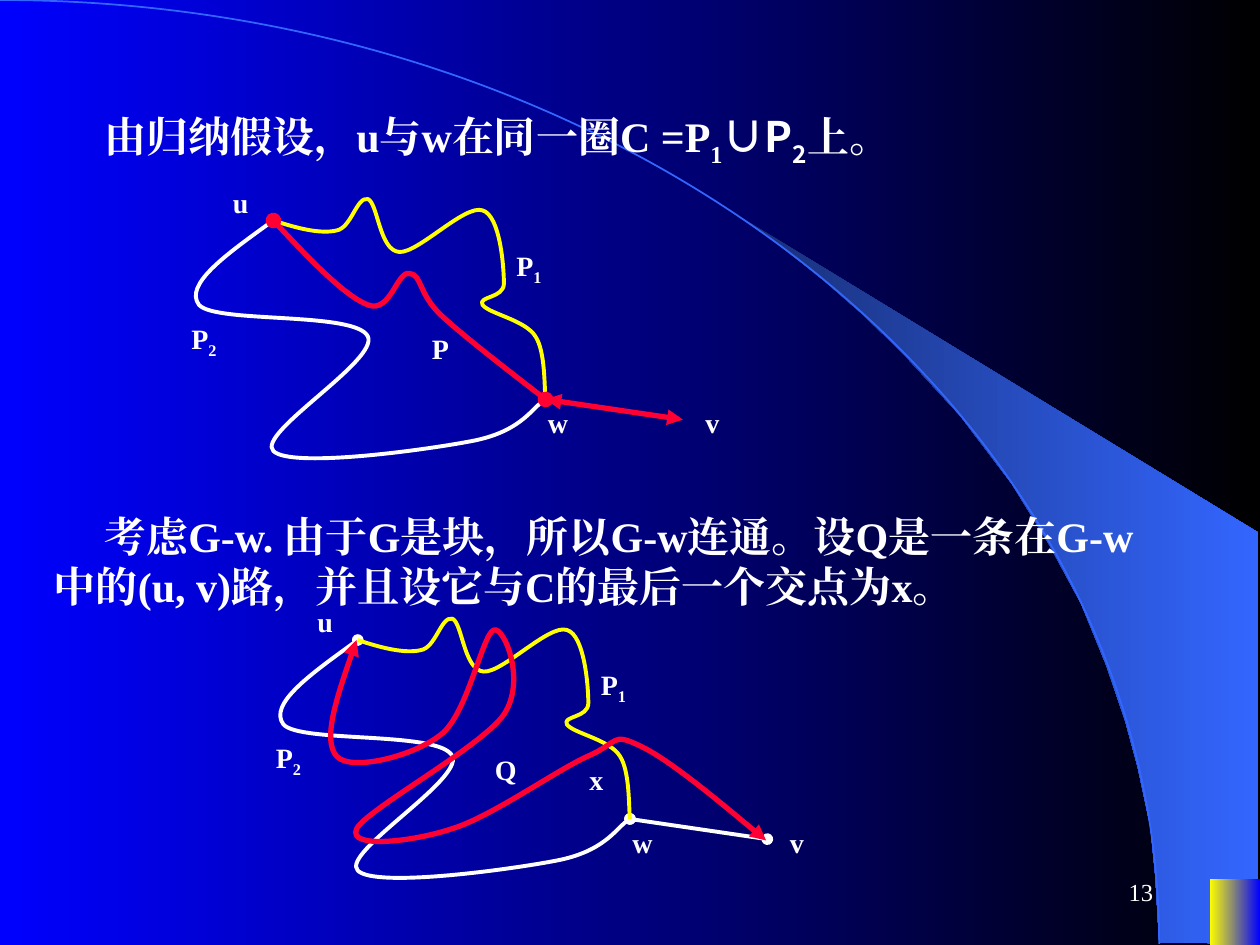
"""Builds the graph-theory proof slide with two cycle diagrams."""
from lxml.etree import SubElement
from pptx import Presentation
from pptx.dml.color import RGBColor
from pptx.enum.shapes import MSO_CONNECTOR, MSO_SHAPE
from pptx.enum.text import MSO_ANCHOR, PP_ALIGN
from pptx.oxml.ns import qn
from pptx.util import Inches, Pt

COLORS = {"white": "FFFFFF", "yellow": "FFFF00", "red": "FF0033", "blue": "0000FF",
          "black": "000000", "navy": "182F76", "sky": "3366FF"}
LATIN, CHINESE = "Times New Roman", "Noto Sans CJK SC"

WEDGE = [(9.2, 7.48), (9.99, 7.49), (9.99, 4.23), (5.89, 1.73), (6.24, 1.99), (6.53, 2.22),
         (6.85, 2.5), (7.16, 2.8), (7.62, 3.3), (8.03, 3.84), (8.32, 4.31), (8.58, 4.79),
         (8.78, 5.28), (8.93, 5.72), (9.03, 6.09), (9.13, 6.56), (9.17, 6.96), (9.2, 7.48)]
ARC = [(0, 0), (5.08, 0), (9.2, 3.35), (9.2, 7.49)]

PATH_ONE = [(2.17, 1.75), (2.35, 1.81), (2.54, 1.86), (2.67, 1.83), (2.79, 1.81), (2.83, 1.56),
            (2.92, 1.58), (3, 1.61), (3.01, 1.99), (3.17, 2), (3.32, 2.01), (3.69, 1.62),
            (3.83, 1.67), (3.97, 1.71), (4, 2.12), (4, 2.25), (4, 2.37), (3.79, 2.35),
            (3.83, 2.42), (3.88, 2.49), (4.17, 2.54), (4.25, 2.67), (4.33, 2.79), (4.32, 3.08),
            (4.33, 3.17)]
PATH_TWO = [(2.17, 1.75), (1.81, 2.01), (1.46, 2.26), (1.58, 2.42), (1.71, 2.57), (2.82, 2.47),
            (2.92, 2.67), (3.01, 2.86), (2.03, 3.44), (2.17, 3.58), (2.31, 3.72), (3.39, 3.57),
            (3.75, 3.5), (4.11, 3.43), (4.24, 3.22), (4.33, 3.17)]
PATH_P = [(2.17, 1.75), (2.45, 2.05), (2.74, 2.35), (2.92, 2.42), (3.1, 2.49), (3.15, 2.15),
          (3.25, 2.17), (3.35, 2.18), (3.32, 2.33), (3.5, 2.5), (3.68, 2.67), (4.19, 3.06),
          (4.33, 3.17)]
PATH_Q = [(2.83, 5.08), (2.69, 5.48), (2.56, 5.87), (2.67, 6), (2.78, 6.13), (3.29, 6),
          (3.5, 5.83), (3.71, 5.67), (3.83, 5.03), (3.92, 5), (4, 4.97), (4.18, 5.4),
          (4, 5.67), (3.82, 5.93), (2.9, 6.43), (2.83, 6.58), (2.76, 6.74), (3.28, 6.68),
          (3.58, 6.58), (3.89, 6.49), (4.42, 6.11), (4.67, 6), (4.92, 5.89), (4.85, 5.81),
          (5.08, 5.92), (5.32, 6.03), (5.92, 6.54), (6.08, 6.67)]
EDGE_WV = [(4.33, 3.17), (5.42, 3.33)]
SHARED_LABELS = [("u", "", 1.75, 1.42), ("w", "", 4.25, 3.17), ("v", "", 5.5, 3.17),
                 ("P", "2", 1.42, 2.5), ("P", "1", 4, 1.92)]
DIAGRAMS = [
    {"shift": (0, 0), "edge": ("red", 3, "triangle"), "route": PATH_P, "ends": "oval",
     "labels": [("P", "", 3.33, 2.58)]},
    {"shift": (0.67, 3.33), "edge": ("white", 2.25, "oval"), "route": PATH_Q, "ends": "triangle",
     "labels": [("Q", "", 3.83, 5.92), ("x", "", 4.58, 6)]},
]
STATEMENTS = [
    (0.83, 0.56, [("由归纳假设，u与w在同一圈C =P", LATIN, False), ("1", LATIN, True),
                  ("∪P", CHINESE, False), ("2", CHINESE, True), ("上。", LATIN, False)]),
    (4, 0.9, [("考虑G-w. 由于G是块，所以G-w连通。设Q是一条在G-w中的(u, v)路，"
               "并且设它与C的最后一个交点为x。", LATIN, False)]),
]


def rgb(name):
    return RGBColor.from_string(COLORS[name])


def paint_gradient(fill, *names):
    fill.gradient()
    fill.gradient_angle = 0
    for stop, name in zip(fill.gradient_stops, names):
        stop.color.rgb = rgb(name)


def style_line(shape, color, width, ends=None):
    shape.line.color.rgb = rgb(color)
    shape.line.width = Pt(width)
    if ends:
        outline = shape.element.spPr.find(qn("a:ln"))
        for tag in ("a:headEnd", "a:tailEnd"):
            SubElement(outline, qn(tag), type=ends)


def move(points, shift):
    return [(x + shift[0], y + shift[1]) for x, y in points]


def add_outline(page, points, close):
    start, *rest = [(Inches(x), Inches(y)) for x, y in points]
    builder = page.shapes.build_freeform(*start, scale=1.0)
    builder.add_line_segments(rest, close=close)
    shape = builder.convert_to_shape()
    shape.shadow.inherit = False
    return shape


def add_curve(page, points, color, width, ends=None):
    shape = add_outline(page, points, False)
    shape.fill.background()
    style_line(shape, color, width, ends)
    segments = list(shape.element.iter(qn("a:lnTo")))
    for first in range(0, len(segments), 3):
        bezier = SubElement(segments[first].getparent(), qn("a:cubicBezTo"))
        for segment in segments[first:first + 3]:
            bezier.append(segment[0])
            segment.getparent().remove(segment)


def add_edge(page, points, color, width, ends):
    (x1, y1), (x2, y2) = points
    edge = page.shapes.add_connector(MSO_CONNECTOR.STRAIGHT, Inches(x1), Inches(y1),
                                     Inches(x2), Inches(y2))
    style_line(edge, color, width, ends)
    SubElement(edge.element.spPr, qn("a:effectLst"))


def add_text(page, left, top, width, height, spans, size, bold=True):
    box = page.shapes.add_textbox(Inches(left), Inches(top), Inches(width), Inches(height))
    box.text_frame.word_wrap = True
    para = box.text_frame.paragraphs[0]
    for text, font, lowered in spans:
        span = para.add_run()
        span.text = text
        span.font.size, span.font.bold, span.font.name = Pt(size), bold, font
        span.font.color.rgb = rgb("white")
        properties = span.font._element
        SubElement(properties, qn("a:ea"), typeface=font)
        if lowered:
            properties.set("baseline", "-25000")
    return box, para


def add_backdrop(page):
    paint_gradient(page.background.fill, "blue", "black")
    wedge = add_outline(page, WEDGE, True)
    paint_gradient(wedge.fill, "navy", "sky")
    wedge.line.fill.background()
    add_curve(page, ARC, "sky", 1)
    corner = page.shapes.add_shape(MSO_SHAPE.RECTANGLE, Inches(9.6), Inches(6.98),
                                   Inches(0.4), Inches(0.52))
    corner.shadow.inherit = False
    paint_gradient(corner.fill, "yellow", "blue")
    corner.line.fill.background()
    box, para = add_text(page, 7.17, 6.83, 2.08, 0.5, [("13", LATIN, False)], 14, False)
    box.text_frame.vertical_anchor = MSO_ANCHOR.MIDDLE
    para.alignment = PP_ALIGN.RIGHT


def add_diagram(page, diagram):
    shift = diagram["shift"]
    add_edge(page, move(EDGE_WV, shift), *diagram["edge"])
    add_curve(page, move(PATH_TWO, shift), "white", 2.25, "oval")
    add_curve(page, move(PATH_ONE, shift), "yellow", 2.25)
    add_curve(page, diagram["route"], "red", 3, diagram["ends"])
    shared = [(name, index, x + shift[0], y + shift[1]) for name, index, x, y in SHARED_LABELS]
    for name, index, left, top in shared + diagram["labels"]:
        spans = [(name, LATIN, False)] + ([(index, LATIN, True)] if index else [])
        add_text(page, left, top, 0.52, 0.41 if index else 0.37, spans, 16)


def main():
    deck = Presentation()
    deck.slide_width, deck.slide_height = Inches(10), Inches(7.5)
    page = deck.slides.add_slide(deck.slide_layouts[6])
    add_backdrop(page)
    for (top, height, spans), diagram in zip(STATEMENTS, DIAGRAMS):
        para = add_text(page, 0.33, top, 9, height, spans, 24)[1]
        para.space_before = Pt(15)
        para._p.get_or_add_pPr().set("indent", str(Inches(0.4)))
        add_diagram(page, diagram)
    deck.save("out.pptx")


if __name__ == "__main__":
    main()
